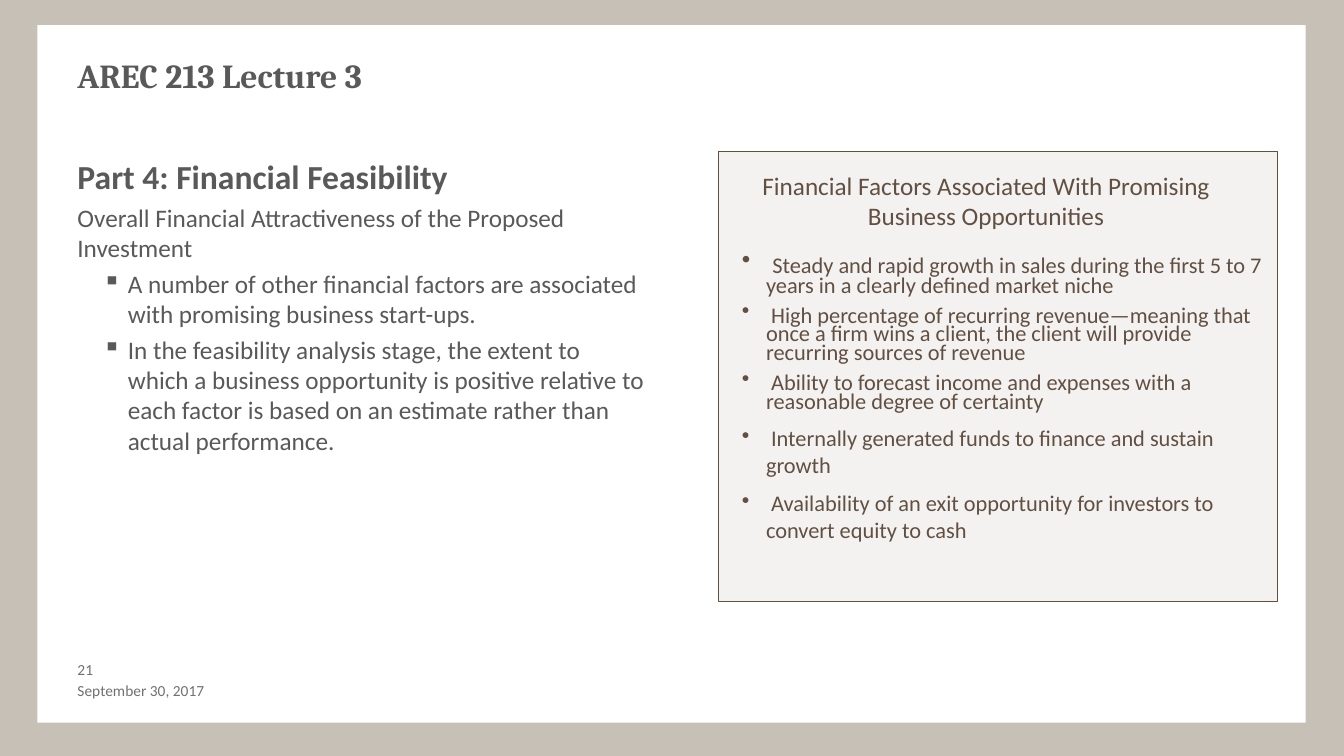
"""Build the financial feasibility slide of AREC 213 Lecture 3."""
from lxml.etree import SubElement
from pptx import Presentation
from pptx.dml.color import RGBColor
from pptx.enum.shapes import MSO_SHAPE
from pptx.enum.text import MSO_ANCHOR, PP_ALIGN
from pptx.oxml.ns import qn
from pptx.util import Inches, Pt

COLORS = {
    "border": "C6C0B7",
    "paper": "FFFFFF",
    "panel": "F4F2F1",
    "brown": "615042",
    "gray": "595959",
    "footer": "717171",
}
BODY = {"size": 18, "name": "Calibri", "color": "gray"}
HEADING = {"size": 24, "name": "Calibri", "color": "gray", "bold": True}
TITLE = {**HEADING, "name": "Cambria"}
FOOTER = {"size": 11, "name": "Calibri", "color": "footer"}
PANEL_HEADING = {"size": 18, "name": "Calibri", "color": "brown"}
FACTOR = {**PANEL_HEADING, "size": 16}
LEAD_SPACE = {**PANEL_HEADING, "name": "Times New Roman"}

FEASIBILITY_POINTS = [
    "A number of other financial factors are associated with promising business start-ups.",
    "In the feasibility analysis stage, the extent to which a business opportunity is positive "
    "relative to each factor is based on an estimate rather than actual performance.",
]
FACTORS = [
    ("Steady and rapid growth in sales during the first 5 to 7 years in a clearly defined "
     "market niche", 0.7),
    ("High percentage of recurring revenue—meaning that once a firm wins a client, the client "
     "will provide recurring sources of revenue", 0.7),
    ("Ability to forecast income and expenses with a reasonable degree of certainty", 0.7),
    ("Internally generated funds to finance and sustain growth", 1.0),
    ("Availability of an exit opportunity for investors to convert equity to cash", 1.0),
]


def color(key):
    """Return the named colour."""
    return RGBColor.from_string(COLORS[key])


def add_panel(page, place, fill, line=None):
    """Add a flat rectangle with an optional thin outline."""
    panel = page.shapes.add_shape(MSO_SHAPE.RECTANGLE, *map(Inches, place))
    panel.shadow.inherit = False
    panel.fill.solid()
    panel.fill.fore_color.rgb = color(fill)
    if line:
        panel.line.color.rgb = color(line)
        panel.line.width = Pt(0.75)
    else:
        panel.line.fill.background()


def add_box(page, place, **frame_format):
    """Add a wrapping text box and return its text frame."""
    frame = page.shapes.add_textbox(*map(Inches, place)).text_frame
    for name, value in {"word_wrap": True, **frame_format}.items():
        setattr(frame, name, value)
    return frame


def add_span(para, text, style):
    """Add a run of text in the given style."""
    span = para.add_run()
    span.text = text
    for name, value in style.items():
        if name == "color":
            span.font.color.rgb = color(value)
        else:
            setattr(span.font, name, Pt(value) if name == "size" else value)


def add_para(frame, spans, bullet=None, left=0, hanging=0, **para_format):
    """Add a paragraph of styled spans, with a bullet if one is given."""
    is_first = not frame.paragraphs[0].runs
    para = frame.paragraphs[0] if is_first else frame.add_paragraph()
    if is_first:
        para_format.pop("space_before", None)
    for name, value in para_format.items():
        setattr(para, name, value)
    if bullet:
        properties = para._p.get_or_add_pPr()
        properties.set("marL", str(Inches(left)))
        properties.set("indent", str(-Inches(hanging)))
        SubElement(properties, qn("a:buChar")).set("char", bullet)
    for text, style in spans:
        add_span(para, text, style)


def add_feasibility(page):
    """Add the left column with its heading and bullet points."""
    frame = add_box(page, (0.67, 1.5, 5.84, 4.75))
    add_para(frame, [("Part 4: Financial Feasibility", HEADING)])
    add_para(frame, [("Overall Financial Attractiveness of the Proposed Investment", BODY)],
             space_before=Pt(4))
    for point in FEASIBILITY_POINTS:
        add_para(frame, [(point, BODY)], "▪", 0.5, 0.25, space_before=Pt(4))


def add_factors(page):
    """Add the framed panel that lists the financial factors."""
    add_panel(page, (7.13, 1.5, 5.54, 4.47), "panel", "brown")
    heading = add_box(page, (7.24, 1.64, 5.08, 0.71))
    add_para(heading, [("Financial Factors Associated With Promising Business Opportunities",
                        PANEL_HEADING)], alignment=PP_ALIGN.CENTER)
    frame = add_box(page, (7.26, 2.5, 5.4, 3.06))
    for index, (factor, spacing) in enumerate(FACTORS):
        lead_style = FACTOR if index else LEAD_SPACE
        add_para(frame, [(" ", lead_style), (factor, FACTOR)], "•", 0.24, 0.24,
                 line_spacing=spacing, space_before=Pt(8))


def add_footer(page):
    """Add the slide number and the date."""
    number = add_box(page, (0.67, 6.55, 0.53, 0.2), margin_top=0, margin_bottom=0,
                     margin_right=0)
    add_para(number, [("21", FOOTER)])
    date = add_box(page, (0.67, 6.75, 2.67, 0.2), margin_top=0, margin_bottom=0,
                   vertical_anchor=MSO_ANCHOR.MIDDLE)
    add_para(date, [("September 30, 2017", FOOTER)])


def main():
    """Build and save the deck."""
    deck = Presentation()
    deck.slide_width, deck.slide_height = Inches(13.33), Inches(7.5)
    page = deck.slides.add_slide(deck.slide_layouts[6])
    page.background.fill.solid()
    page.background.fill.fore_color.rgb = color("border")
    add_panel(page, (0.37, 0.25, 12.58, 6.92), "paper")
    title = add_box(page, (0.67, 0.5, 12, 0.75))
    add_para(title, [("AREC 213 Lecture 3", TITLE)])
    add_feasibility(page)
    add_factors(page)
    add_footer(page)
    deck.save("out.pptx")


if __name__ == "__main__":
    main()
